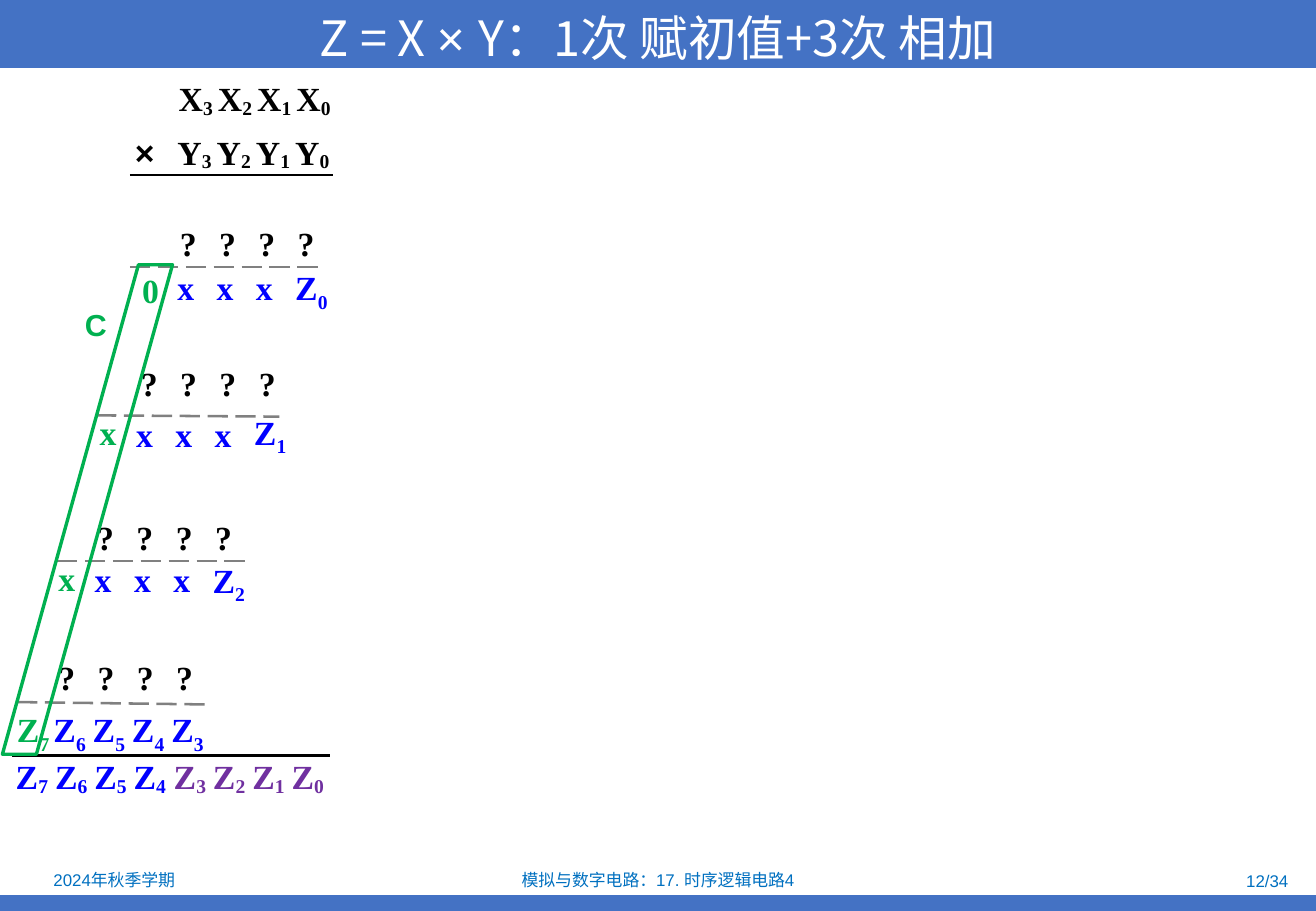
from dataclasses import dataclass

from pptx import Presentation
from pptx.dml.color import RGBColor
from pptx.enum import dml, shapes, text
from pptx.oxml import ns, xmlchemy
from pptx.util import Inches, Pt


@dataclass(frozen=True)
class Theme:
    bar: str = "4472C4"
    white: str = "FFFFFF"
    black: str = "000000"
    footer: str = "0070C0"
    partial: str = "0000FF"
    carry: str = "00B050"
    product: str = "7030A0"
    dash: str = "808080"
    title_size: float = 28.8
    digit_size: float = 20
    label_size: float = 18
    footer_size: float = 10
    serif: str = "Times New Roman"
    sans: str = "Arial"
    chinese: str = "Noto Sans CJK SC"


theme = Theme()
LEFT, CENTER, RIGHT = text.PP_ALIGN.LEFT, text.PP_ALIGN.CENTER, text.PP_ALIGN.RIGHT
PITCH = 0.97 / 3  # four digits span three steps


def add_span(para, words, color, size, name, bold=False, baseline=0):
    """Append a run; baseline is a shift in percent, negative for a subscript."""
    span = para.add_run()
    span.text = words
    for key, value in {"size": Pt(size), "name": name, "bold": bold}.items():
        setattr(span.font, key, value)
    span.font.color.rgb = RGBColor.from_string(color)
    props = span._r.get_or_add_rPr()
    if baseline:
        props.set("baseline", str(baseline * 1000))
    asian = xmlchemy.OxmlElement("a:ea")
    asian.set("typeface", theme.chinese)
    props.find(ns.qn("a:latin")).addnext(asian)


def add_box(left, top, width, height, align=LEFT, **frame_format):
    """Add a text box and return its first paragraph."""
    box = page.shapes.add_textbox(*map(Inches, (left, top, width, height)))
    frame = box.text_frame
    for key, value in ({"word_wrap": True} | frame_format).items():
        setattr(frame, key, value)
    frame.paragraphs[0].alignment = align
    return frame.paragraphs[0]


deck = Presentation()
deck.slide_width, deck.slide_height = Inches(10.83), Inches(7.5)
page = deck.slides.add_slide(deck.slide_layouts[5])

# Title and footer
title = page.shapes.title
title.left, title.top, title.width, title.height = map(Inches, (0, 0, 10.83, 0.56))
bottom_bar = page.shapes.add_shape(
    shapes.MSO_SHAPE.RECTANGLE, *map(Inches, (0, 7.37, 10.83, 0.13)))
bottom_bar.shadow.inherit = False
bottom_bar.line.fill.background()
for bar in (title, bottom_bar):
    bar.fill.solid()
    bar.fill.fore_color.rgb = RGBColor.from_string(theme.bar)

title_format = {"vertical_anchor": text.MSO_ANCHOR.MIDDLE,
                "auto_size": text.MSO_AUTO_SIZE.NONE, "word_wrap": True}
for key, value in title_format.items():
    setattr(title.text_frame, key, value)
heading = title.text_frame.paragraphs[0]
heading.alignment, heading.line_spacing = CENTER, 1.1
for words, name in (("Z = X ", theme.chinese), ("× ", theme.sans),
                    ("Y：1次 赋初值+3次 相加", theme.chinese)):
    add_span(heading, words, theme.white, theme.title_size, name)

footers = [
    ("2024年秋季学期", 0.02, 7.13, 1.84, 0.23, CENTER),
    ("模拟与数字电路：17. 时序逻辑电路4", 3.7, 7.14, 3.43, 0.21, CENTER),
    ("12/34", 8.17, 7.15, 2.53, 0.21, RIGHT),
]
for words, *place in footers:
    para = add_box(*place, vertical_anchor=text.MSO_ANCHOR.MIDDLE)
    add_span(para, words, theme.footer, theme.footer_size, theme.sans)

# Digit rows: symbols, left of the first, top, colour, subscript shift
digit_rows = [
    ("X3 X2 X1 X0", 1.47, 0.61, theme.black, -10),
    ("Y3 Y2 Y1 Y0", 1.46, 1.05, theme.black, -10),
    ("×", 1.11, 1.05, theme.black, 0),
    ("? ? ? ?", 1.48, 1.8, theme.black, 0),
    ("x x x Z0", 1.46, 2.16, theme.partial, -25),
    ("0", 1.17, 2.19, theme.carry, 0),
    ("? ? ? ?", 1.16, 2.95, theme.black, 0),
    ("x x x", 1.12, 3.37, theme.partial, 0),
    ("Z1", 2.09, 3.35, theme.partial, -25),
    ("x", 0.82, 3.36, theme.carry, 0),
    ("? ? ? ?", 0.8, 4.22, theme.black, 0),
    ("x x x Z2", 0.78, 4.57, theme.partial, -25),
    ("x", 0.48, 4.56, theme.carry, 0),
    ("? ? ? ?", 0.48, 5.37, theme.black, 0),
    ("Z6 Z5 Z4 Z3", 0.44, 5.8, theme.partial, -25),
    ("Z7", 0.14, 5.8, theme.carry, -25),
    ("Z7 Z6 Z5 Z4", 0.13, 6.19, theme.partial, -10),
    ("Z3 Z2 Z1 Z0", 1.43, 6.19, theme.product, -10),
]
digit_format = {"word_wrap": False, "auto_size": text.MSO_AUTO_SIZE.SHAPE_TO_FIT_TEXT}
digit_format |= dict.fromkeys(
    ("margin_left", "margin_top", "margin_right", "margin_bottom"), 0)
for symbols, left, top, color, shift in digit_rows:
    for column, symbol in enumerate(symbols.split()):
        width = 0.14 if symbol in "?x0" else 0.3
        para = add_box(left + column * PITCH, top, width, 0.37, **digit_format)
        para.line_spacing = 1.1
        name = theme.sans if symbol == "×" else theme.serif
        add_span(para, symbol[0], color, theme.digit_size, name, True)
        if symbol[1:]:
            add_span(para, symbol[1:], color, theme.digit_size, name, True, shift)

# Rules: solid around the product, dashed above each partial sum
rules = [
    (1.07, 1.44, 2.74, 1.44, False),
    (0.1, 6.22, 2.72, 6.22, False),
    (1.07, 2.2, 2.66, 2.2, True),
    (0.79, 3.42, 2.3, 3.43, True),
    (0.47, 4.62, 2.05, 4.62, True),
    (0.14, 5.78, 1.74, 5.8, True),
]
for *ends, dashed in rules:
    rule = page.shapes.add_connector(
        shapes.MSO_CONNECTOR.STRAIGHT, *map(Inches, ends))
    rule.line.width = Pt(1.5)
    rule.line.color.rgb = RGBColor.from_string(theme.dash if dashed else theme.black)
    if dashed:
        rule.line.dash_style = dml.MSO_LINE.LONG_DASH
    rule._element.spPr.append(xmlchemy.OxmlElement("a:effectLst"))

# Carry column
add_span(add_box(0.6, 2.47, 0.51, 0.4), "C", theme.carry, theme.label_size,
         theme.sans, True)
carry_frame = page.shapes.add_shape(
    shapes.MSO_SHAPE.PARALLELOGRAM, *map(Inches, (0.02, 2.18, 1.4, 4.03)))
carry_frame.adjustments[0] = 0.8
carry_frame.shadow.inherit = False
carry_frame.fill.background()
carry_frame.line.color.rgb = RGBColor.from_string(theme.carry)
carry_frame.line.width = Pt(2)

deck.save("out.pptx")
